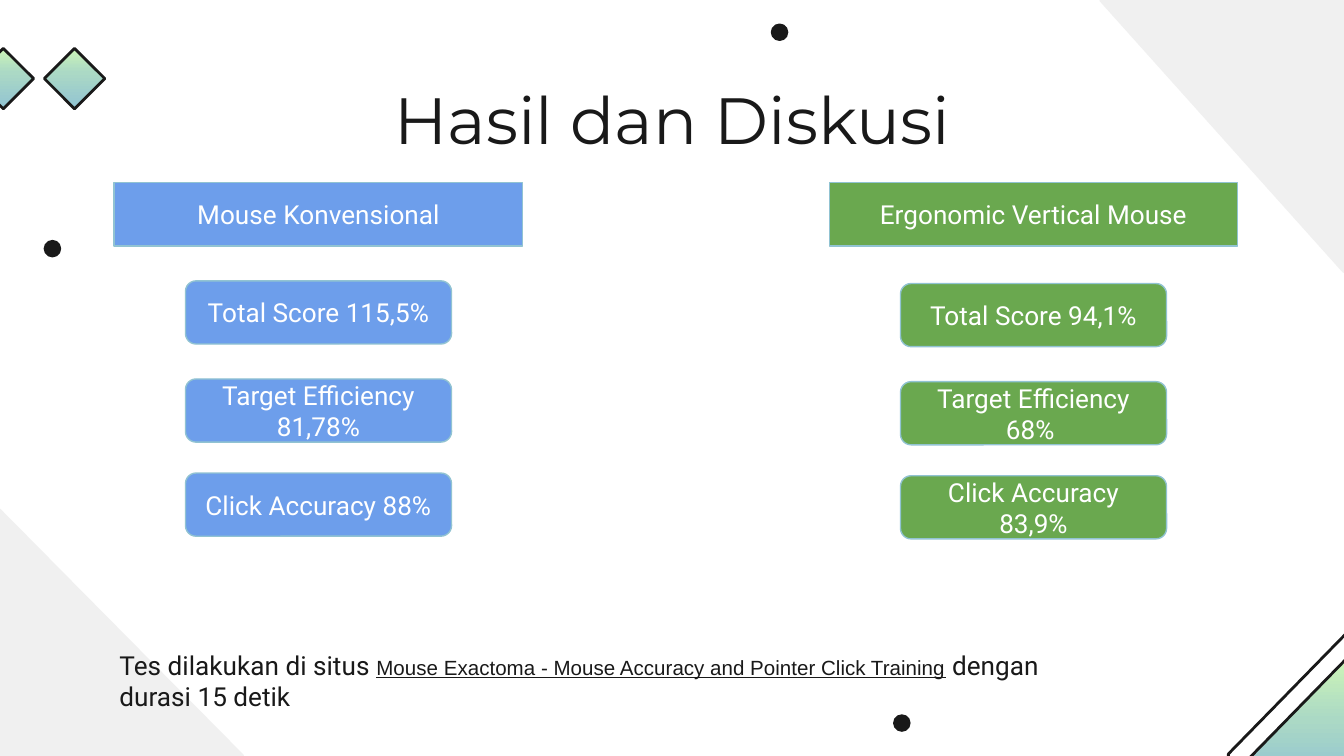
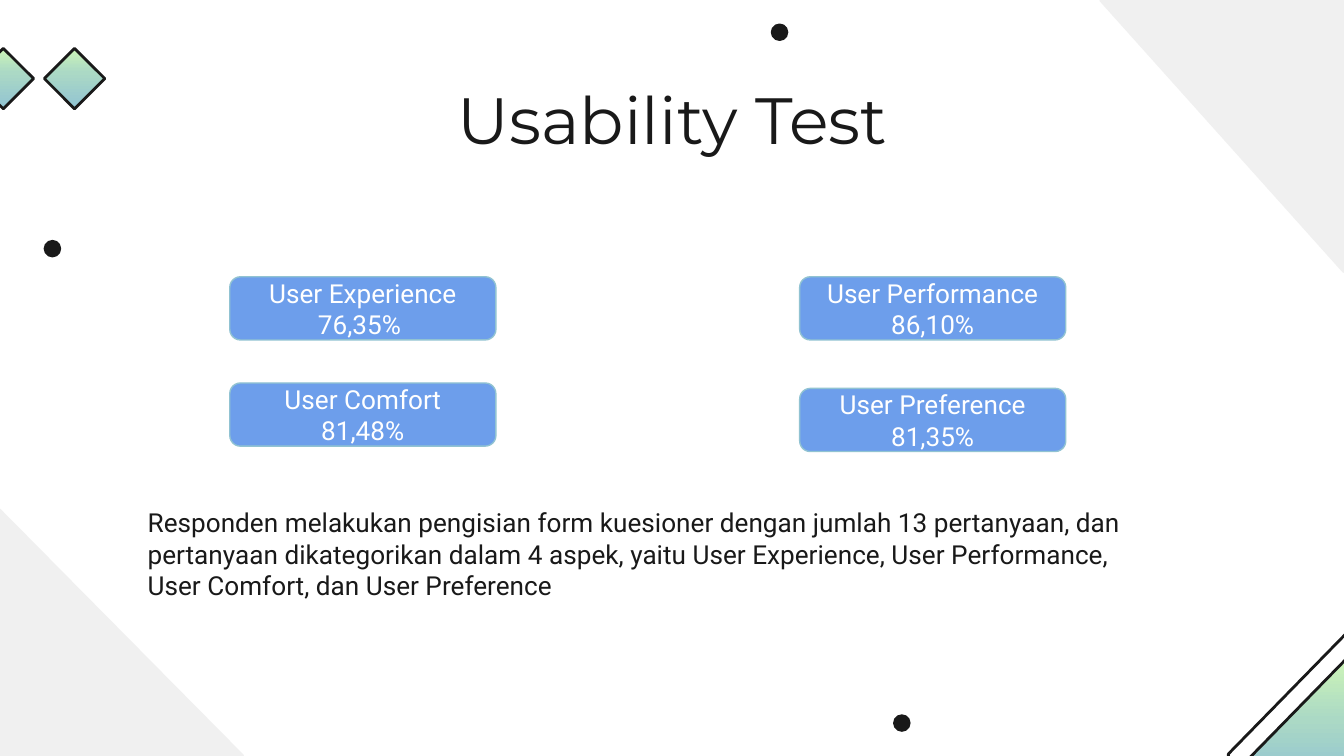
"""Build two result slides on a shared decorated layout."""
import copy

import pptx
import pptx.dml.color
import pptx.enum.shapes
import pptx.enum.text
import pptx.oxml.ns
import pptx.util

Inches = pptx.util.Inches
SHAPE = pptx.enum.shapes.MSO_SHAPE
ALIGN = pptx.enum.text.PP_ALIGN
ANCHOR = pptx.enum.text.MSO_ANCHOR
AUTO_SIZE = pptx.enum.text.MSO_AUTO_SIZE

INK, PALE, WHITE = "191919", "F0F0F0", "FFFFFF"
BLUE, GREEN, EDGE = "6D9EEB", "6AA84F", "91C3D2"
MINT, TEAL = "CCF4B7", "ABD9C5"

TITLE_BOX = (0.79, 0.49, 8.43, 0.8)
HEADER_SIZE = (3.04, 0.47)
CARD_SIZE = (1.98, 0.47)

CORNERS = [((-0.01, 3.8, 1.83, 1.81), 90), ((8.08, 0.11, 2.02, 1.81), 270)]
DOTS = [(0.33, 1.79), (5.74, 0.18), (6.65, 5.32)]
DIAMOND_LEFTS = [-0.2, 0.33]
STRIPE = [(10.01, 4.72), (9.14, 5.61), (9.14, 5.81)]

SLIDES = [
    {
        "title": "Hasil dan Diskusi",
        "headers": [
            ("Mouse Konvensional", 0.85, 1.36, BLUE),
            ("Ergonomic Vertical Mouse", 6.17, 1.36, GREEN),
        ],
        "columns": [
            (1.38, BLUE, [("Total Score 115,5%", 2.09),
                          ("Target Efficiency 81,78%", 2.82),
                          ("Click Accuracy 88%", 3.52)]),
            (6.7, GREEN, [("Total Score 94,1%", 2.11),
                          ("Target Efficiency 68% ", 2.84),
                          ("Click Accuracy 83,9%", 3.54)]),
        ],
        "note_box": (0.79, 4.73, 7.51, 0.67),
        "note": [
            ("Tes dilakukan di situs ", {}),
            ("Mouse Exactoma - Mouse Accuracy and Pointer Click Training",
             {"size": 11, "font": "Arial", "underline": True}),
            (" dengan durasi 15 detik", {}),
        ],
    },
    {
        "title": "Usability Test",
        "headers": [],
        "columns": [
            (1.71, BLUE, [("User Experience 76,35% ", 2.06),
                          ("User Comfort 81,48%", 2.85)]),
            (5.95, BLUE, [("User Performance 86,10%", 2.06),
                          ("User Preference 81,35%", 2.89)]),
        ],
        "note_box": (1, 3.67, 7.51, 0.91),
        "note": [
            ("Responden melakukan pengisian form kuesioner dengan jumlah 13 "
             "pertanyaan, dan pertanyaan dikategorikan dalam 4 aspek, yaitu "
             "User Experience, User Performance, User Comfort, dan "
             "User Preference", {}),
        ],
    },
]


def rgb(value):
    return pptx.dml.color.RGBColor.from_string(value)


def add_text(paragraph, text, size=14, font="Roboto", color=INK, underline=None):
    run = paragraph.add_run()
    run.text = text
    run.font.size = pptx.util.Pt(size)
    run.font.name = font
    run.font.color.rgb = rgb(color)
    run.font.underline = underline


def prepare_frame(frame, anchor, alignment, auto_size=AUTO_SIZE.NONE):
    frame.word_wrap = True
    frame.auto_size = auto_size
    frame.vertical_anchor = anchor
    frame.margin_left = frame.margin_right = Inches(0.1)
    frame.margin_top = frame.margin_bottom = Inches(0.1)
    frame.paragraphs[0].alignment = alignment
    return frame.paragraphs[0]


def set_line(shape, color, width):
    shape.shadow.inherit = False
    shape.line.color.rgb = rgb(color)
    shape.line.width = pptx.util.Pt(width)


def add_shape(slide, kind, box, fill, line, width=0.75):
    shape = slide.shapes.add_shape(kind, *map(Inches, box))
    set_line(shape, line, width)
    shape.fill.solid()
    shape.fill.fore_color.rgb = rgb(fill)
    return shape


def add_gradient_shape(slide, kind, box, middle):
    shape = add_shape(slide, kind, box, MINT, INK, 1.5)
    shape.fill.gradient()
    shape.fill.gradient_angle = 270
    stop_list = shape.element.find(".//" + pptx.oxml.ns.qn("a:gsLst"))
    stop_list.append(copy.deepcopy(stop_list[0]))
    colors = [(0, MINT), (middle, TEAL), (1, EDGE)]
    for stop, (position, color) in zip(shape.fill.gradient_stops, colors):
        stop.position = position
        stop.color.rgb = rgb(color)
    return shape


def draw_decoration(slide):
    shapes = []
    for box, rotation in CORNERS:
        corner = add_shape(slide, SHAPE.RIGHT_TRIANGLE, box, PALE, PALE)
        corner.rotation = rotation
        corner.element.find(".//" + pptx.oxml.ns.qn("a:xfrm")).set("flipH", "1")
        shapes.append(corner)
    for left, top in DOTS:
        shapes.append(add_shape(slide, SHAPE.OVAL, (left, top, 0.12, 0.12), INK, INK))
    shapes.append(add_gradient_shape(
        slide, SHAPE.ISOSCELES_TRIANGLE, (9.14, 4.91, 1.74, 0.89), 0.5))

    points = [(Inches(x), Inches(y)) for x, y in STRIPE]
    builder = slide.shapes.build_freeform(*points[0])
    builder.add_line_segments(points[1:], close=False)
    stripe = builder.convert_to_shape()
    stripe.fill.background()
    set_line(stripe, INK, 1.5)
    shapes.append(stripe)

    for left in DIAMOND_LEFTS:
        shapes.append(add_gradient_shape(
            slide, SHAPE.DIAMOND, (left, 0.36, 0.45, 0.45), 0.4))
    return shapes


def move_to_layout(shapes, layout):
    for number, shape in enumerate(shapes, start=100):
        shape.element.xpath(".//p:cNvPr")[0].set("id", str(number))
        layout.shapes.element.append(shape.element)


def add_label(slide, kind, text, box, fill):
    shape = add_shape(slide, kind, box, fill, EDGE)
    paragraph = prepare_frame(shape.text_frame, ANCHOR.MIDDLE, ALIGN.CENTER)
    add_text(paragraph, text, color=WHITE)


def fill_slide(slide, content):
    title = slide.shapes.title
    title.left, title.top, title.width, title.height = map(Inches, TITLE_BOX)
    paragraph = prepare_frame(title.text_frame, ANCHOR.TOP, ALIGN.CENTER)
    add_text(paragraph, content["title"], size=35, font="Montserrat")

    for text, left, top, color in content["headers"]:
        add_label(slide, SHAPE.RECTANGLE, text, (left, top, *HEADER_SIZE), color)
    for left, color, cards in content["columns"]:
        for text, top in cards:
            add_label(slide, SHAPE.ROUNDED_RECTANGLE, text,
                      (left, top, *CARD_SIZE), color)

    note = slide.shapes.add_textbox(*map(Inches, content["note_box"]))
    paragraph = prepare_frame(note.text_frame, ANCHOR.TOP, ALIGN.LEFT,
                              AUTO_SIZE.SHAPE_TO_FIT_TEXT)
    for text, style in content["note"]:
        add_text(paragraph, text, **style)


def main():
    presentation = pptx.Presentation()
    presentation.slide_width = Inches(10)
    presentation.slide_height = presentation.slide_width * 9 // 16
    layout = presentation.slide_layouts.get_by_name("Title Only")
    slides = [presentation.slides.add_slide(layout) for _ in SLIDES]
    move_to_layout(draw_decoration(slides[0]), layout)
    for slide, content in zip(slides, SLIDES):
        fill_slide(slide, content)
    presentation.save("out.pptx")


if __name__ == "__main__":
    main()
